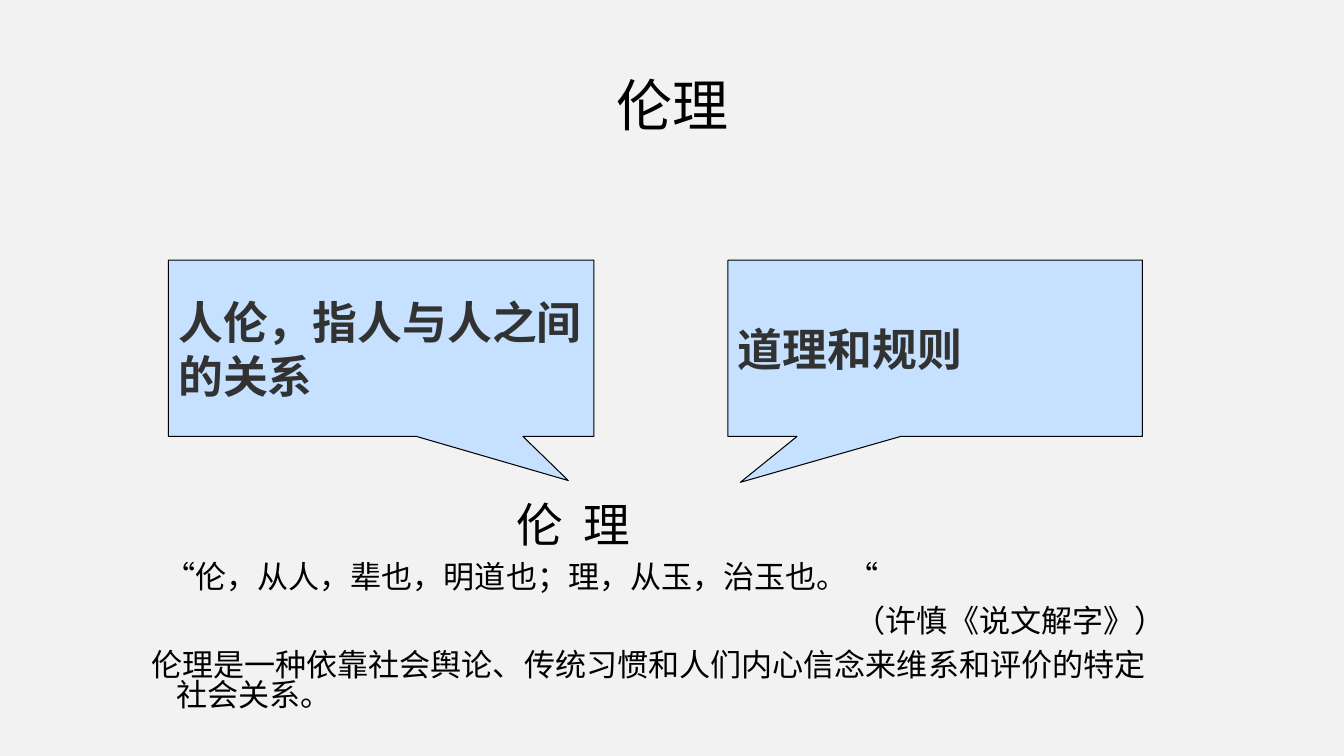
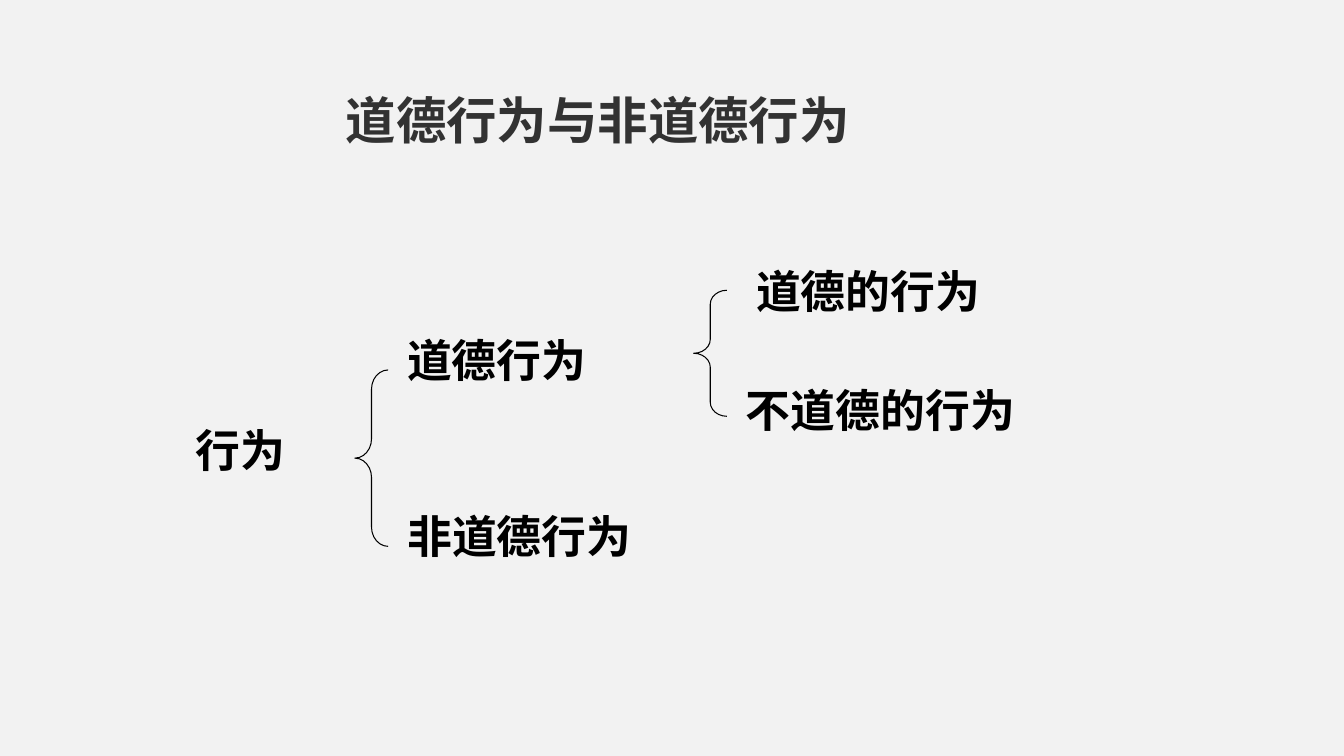
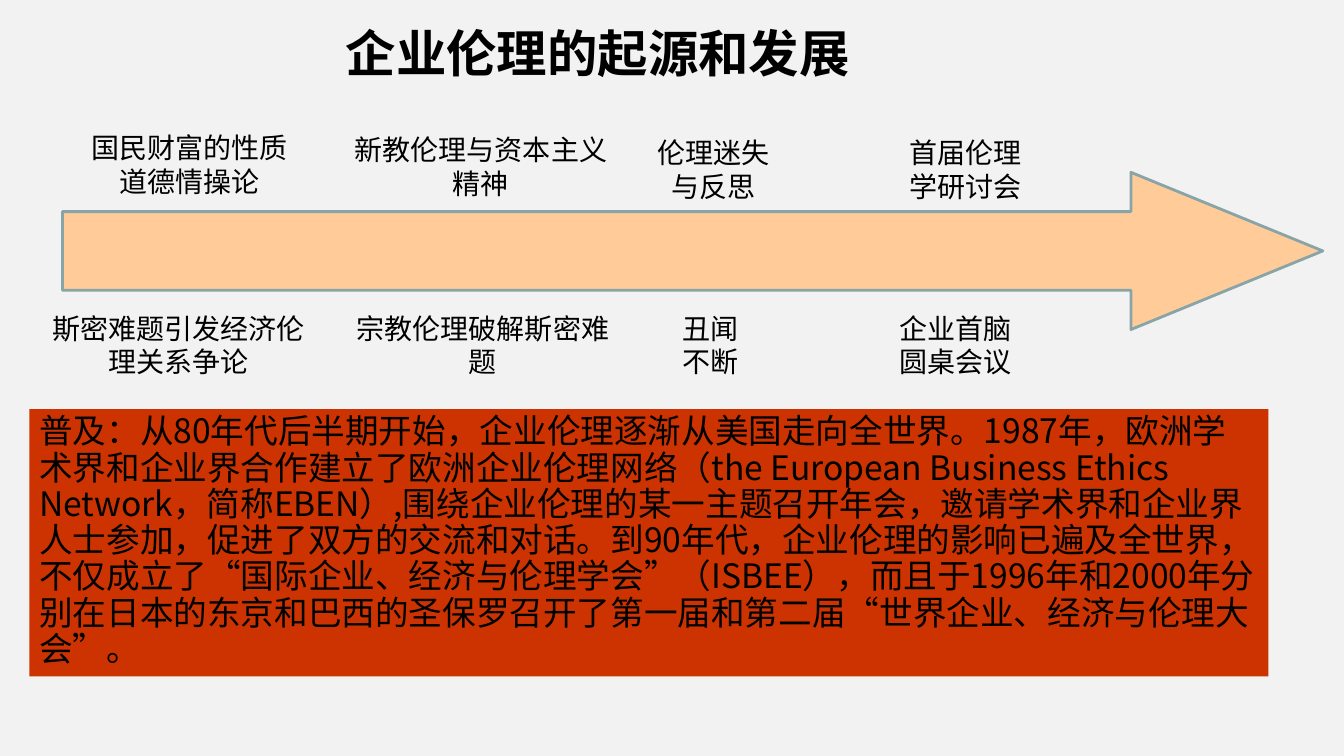
from lxml import etree
from pptx import Presentation
from pptx.dml.color import RGBColor
from pptx.enum.shapes import MSO_SHAPE
from pptx.enum.text import MSO_ANCHOR, PP_ALIGN
from pptx.oxml.ns import qn
from pptx.util import Pt

PX = 9144
LEFT, CENTER, RIGHT = PP_ALIGN.LEFT, PP_ALIGN.CENTER, PP_ALIGN.RIGHT
TOP, MIDDLE = MSO_ANCHOR.TOP, MSO_ANCHOR.MIDDLE
CALLOUT = MSO_SHAPE.RECTANGULAR_CALLOUT
BRACE = MSO_SHAPE.LEFT_BRACE
ARROW = MSO_SHAPE.RIGHT_ARROW
RECTANGLE = MSO_SHAPE.RECTANGLE

PAPER = RGBColor(0xF2, 0xF2, 0xF2)
BLACK = RGBColor(0, 0, 0)
CHARCOAL = RGBColor(0x32, 0x32, 0x32)
SKY = RGBColor(0xC5, 0xE1, 0xFF)
BRICK = RGBColor(0xCC, 0x33, 0x00)
PEACH = RGBColor(0xFF, 0xCC, 0x99)
STEEL = RGBColor(0x89, 0xA4, 0xA7)

HAN_FONT = "Noto Sans CJK SC"
LINE_FACTOR = 1.2


def px(*lengths):
    return [length * PX for length in lengths]


def add_run(para, text, size, font=HAN_FONT, color=BLACK, bold=False):
    span = para.add_run()
    span.text = text
    span.font.size = Pt(size)
    span.font.name = font
    span.font.bold = bold
    span.font.color.rgb = color
    han = etree.SubElement(span._r.get_or_add_rPr(), qn("a:ea"))
    han.set("typeface", HAN_FONT)


def write(shape, lines, size, align=LEFT, anchor=TOP, spacing=1, before=0, **style):
    frame = shape.text_frame
    frame.word_wrap = True
    frame.vertical_anchor = anchor
    for index, line in enumerate(lines):
        para = frame.add_paragraph() if index else frame.paragraphs[0]
        para.alignment = align
        para.line_spacing = Pt(round(size * LINE_FACTOR * spacing, 1))
        if index:
            para.space_before = Pt(before)
        add_run(para, line, size, **style)
    return frame.paragraphs


def add_text(page, place, lines, size, **options):
    box = page.shapes.add_textbox(*px(*place))
    return write(box, lines, size, **options)


def add_title(page, place, text, size=36, bold=True, **options):
    add_text(page, place, [text], size, bold=bold, **options)


def add_figure(page, kind, place, adjustments=(), fill=None, line=None, weight=0.75):
    shape = page.shapes.add_shape(kind, *px(*place))
    shape.shadow.inherit = False
    for index, value in enumerate(adjustments):
        shape.adjustments[index] = value
    if fill is None:
        shape.fill.background()
    else:
        shape.fill.solid()
        shape.fill.fore_color.rgb = fill
    if line is None:
        shape.line.fill.background()
    else:
        shape.line.color.rgb = line
        shape.line.width = Pt(weight)
    return shape


def set_indent(para, left, first):
    properties = para._p.get_or_add_pPr()
    properties.set("marL", str(left * PX))
    properties.set("indent", str(first * PX))


def add_tab(para, position):
    tabs = etree.SubElement(para._p.get_or_add_pPr(), qn("a:tabLst"))
    tab = etree.SubElement(tabs, qn("a:tab"))
    tab.set("pos", str(position * PX))
    tab.set("algn", "l")


def build_ethics(page):
    add_title(page, (167, 68, 1000, 77), "伦理", size=40, bold=False, align=CENTER,
              anchor=MIDDLE, spacing=0.9, font="Montserrat")
    callouts = [
        ((722, 258, 411, 175), (-0.47, 0.76), "道理和规则"),
        ((167, 258, 422, 175), (0.44, 0.75), "人伦，指人与人之间的关系"),
    ]
    for place, pointer, text in callouts:
        shape = add_figure(page, CALLOUT, place, pointer, SKY, BLACK)
        write(shape, [text], 32, anchor=MIDDLE, font="Arial", color=CHARCOAL, bold=True)

    word = add_text(page, (502, 487, 200, 66), ["伦\t理"], 33.3, font="Arial")
    add_tab(word[0], 67)

    quote, source, meaning = add_text(page, (140, 556, 1026, 163), [
        "“伦，从人，辈也，明道也；理，从玉，治玉也。“",
        "（许慎《说文解字》）",
        "伦理是一种依靠社会舆论、传统习惯和人们内心信念来维系和评价的特定社会关系。",
    ], 22.2, spacing=0.8, before=10, font="Arial")
    source.alignment = RIGHT
    set_indent(quote, 25, -12)
    set_indent(source, 25, -25)
    set_indent(meaning, 25, -25)


def build_conduct(page):
    add_title(page, (333, 83, 700, 71), "道德行为与非道德行为", font="Arial", color=CHARCOAL)
    labels = [
        (184, 414, 167, "行为"),
        (394, 325, 306, "道德行为"),
        (394, 500, 351, "非道德行为"),
        (740, 257, 352, "道德的行为"),
        (730, 375, 405, "不道德的行为"),
    ]
    for left, top, width, text in labels:
        add_text(page, (left, top, width, 63), [text], 32, font="Roboto", bold=True)
    add_figure(page, BRACE, (352, 367, 33, 175), (0.58, 0.5), line=BLACK)
    add_figure(page, BRACE, (688, 288, 33, 125), (0.42, 0.5), line=BLACK)


def build_history(page):
    add_title(page, (333, 17, 700, 71), "企业伦理的起源和发展")
    events = [
        (42, 125, 292, ["国民财富的性质", "道德情操论"]),
        (31, 304, 292, ["斯密难题引发经济伦理关系争论"]),
        (331, 127, 292, ["新教伦理与资本主义精神"]),
        (333, 304, 292, ["宗教伦理破解斯密难题"]),
        (562, 130, 292, ["伦理迷失", "与反思"]),
        (595, 304, 219, ["丑闻", "不断"]),
        (812, 130, 292, ["首届伦理", "学研讨会"]),
        (838, 304, 219, ["企业首脑", "圆桌会议"]),
    ]
    for left, top, width, lines in events:
        add_text(page, (left, top, width, 77), lines, 20, align=CENTER)

    spread = add_figure(page, RECTANGLE, (29, 406, 1229, 265), fill=BRICK)
    write(spread, [
        "普及：从80年代后半期开始，企业伦理逐渐从美国走向全世界。1987年，欧洲学术界和企业界"
        "合作建立了欧洲企业伦理网络（the European Business Ethics Network，简称EBEN）,"
        "围绕企业伦理的某一主题召开年会，邀请学术界和企业界人士参加，促进了双方的交流和对话。"
        "到90年代，企业伦理的影响已遍及全世界，不仅成立了“国际企业、经济与伦理学会”（ISBEE），"
        "而且于1996年和2000年分别在日本的东京和巴西的圣保罗召开了第一届和第二届"
        "“世界企业、经济与伦理大会”。"
    ], 24, spacing=0.9)
    add_figure(page, ARROW, (62, 171, 1250, 156), (0.5, 1.22), PEACH, STEEL, 2)


def main():
    deck = Presentation()
    deck.slide_width, deck.slide_height = px(1333, 750)
    background = deck.slide_master.background.fill
    background.solid()
    background.fore_color.rgb = PAPER
    for build in (build_ethics, build_conduct, build_history):
        build(deck.slides.add_slide(deck.slide_layouts[6]))
    deck.save("out.pptx")


if __name__ == "__main__":
    main()
